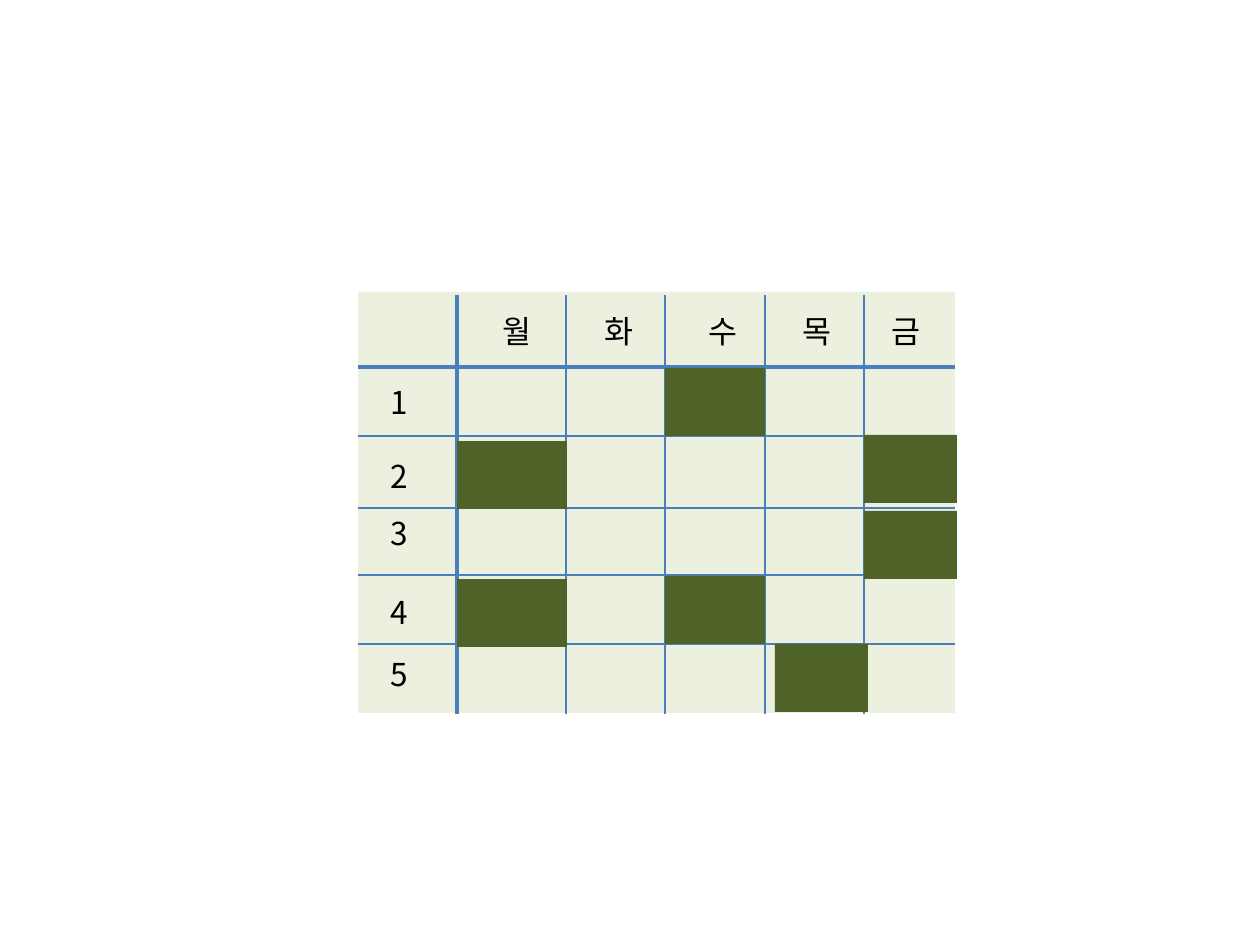
from dataclasses import dataclass
from lxml.etree import SubElement
from pptx import Presentation
from pptx.dml.color import RGBColor
from pptx.enum.shapes import MSO_CONNECTOR, MSO_SHAPE
from pptx.enum.text import MSO_AUTO_SIZE
from pptx.oxml.ns import qn
from pptx.util import Pt


@dataclass(frozen=True)
class Theme:
    font: str = "Noto Sans CJK KR"
    text_size: float = 18
    text: str = "000000"
    panel: str = "EBF1DE"
    block: str = "4F6228"
    rule: str = "4B7EBC"
    thin: float = 0.75
    thick: float = 2.25


EMU_PER_PIXEL = 914400 / 126


def emu(*pixels):
    return [round(value * EMU_PER_PIXEL) for value in pixels]


def write(frame, text, *, size, color, font):
    span = frame.paragraphs[0].add_run()
    span.text = text
    span.font.size = Pt(size)
    span.font.color.rgb = RGBColor.from_string(color)
    span.font.name = font
    SubElement(span.font._element, qn("a:ea")).set("typeface", font)


class Canvas:
    def __init__(self, page, theme):
        self.theme = theme
        self.shapes = page.shapes.add_group_shape().shapes

    def rectangle(self, left, top, width, height, color):
        shape = self.shapes.add_shape(
            MSO_SHAPE.RECTANGLE, *emu(left, top, width, height))
        shape.shadow.inherit = False
        shape.fill.solid()
        shape.fill.fore_color.rgb = RGBColor.from_string(color)
        shape.line.fill.background()

    def line(self, start, end, weight):
        line = self.shapes.add_connector(
            MSO_CONNECTOR.STRAIGHT, *emu(*start, *end))
        line.line.color.rgb = RGBColor.from_string(self.theme.rule)
        line.line.width = Pt(weight)
        SubElement(line._element.spPr, qn("a:effectLst"))

    def label(self, left, top, width, height, text):
        box = self.shapes.add_textbox(*emu(left, top, width, height))
        box.text_frame.word_wrap = False
        box.text_frame.auto_size = MSO_AUTO_SIZE.SHAPE_TO_FIT_TEXT
        write(box.text_frame, text, size=self.theme.text_size,
              color=self.theme.text, font=self.theme.font)


theme = Theme()
deck = Presentation()
deck.slide_width, deck.slide_height = emu(1260, 945)
page = deck.slides.add_slide(deck.slide_layouts[6])
timetable = Canvas(page, theme)

# Background panel
LEFT, TOP, WIDTH, HEIGHT = 358, 292, 597, 421
timetable.rectangle(LEFT, TOP, WIDTH, HEIGHT, theme.panel)

# Grid rules: the first in each direction sets off the headings
column_edges = [457, 566, 665, 765, 864]
row_edges = [367, 436, 508, 575, 644]
for index, (x, y) in enumerate(zip(column_edges, row_edges)):
    weight = theme.thin if index else theme.thick
    timetable.line((x, 295), (x, 714), weight)
    timetable.line((LEFT, y), (LEFT + WIDTH, y), weight)

# Weekday headings
for day, left in zip("월화수목금", [490, 592, 696, 790, 879]):
    timetable.label(left, 306, 57, 50, day)

# Period numbers
for period, top in enumerate([377, 451, 508, 587, 649], start=1):
    timetable.label(378, top, 43, 50, str(period))

# Occupied periods: left, width and the top of each block
BLOCK_HEIGHT = 68
occupied = [
    (457, 110, [441, 579]),
    (665, 100, [368, 576]),
    (864, 93, [435, 511]),
    (775, 93, [644]),
]
for left, width, tops in occupied:
    for top in tops:
        timetable.rectangle(left, top, width, BLOCK_HEIGHT, theme.block)

deck.save("out.pptx")
